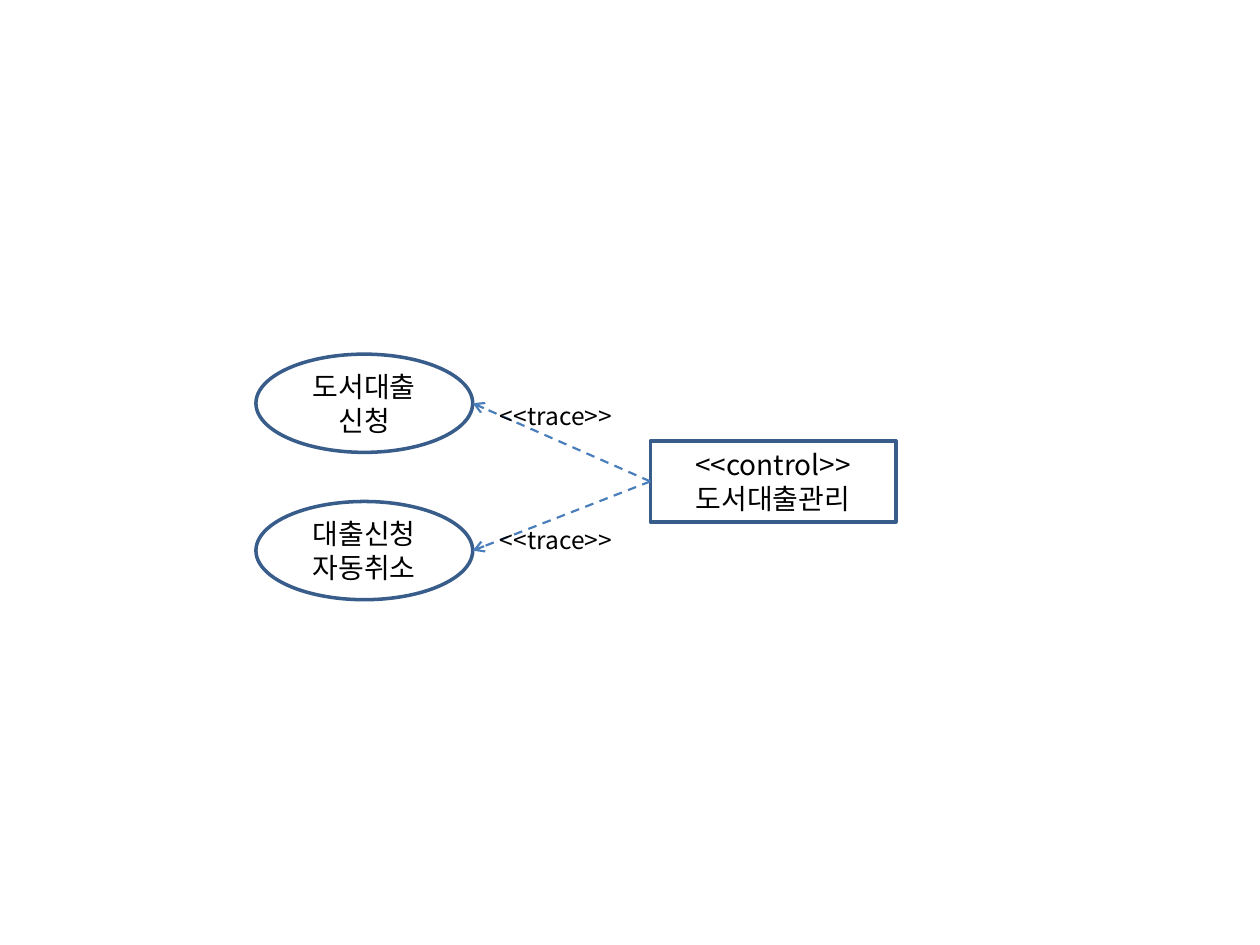
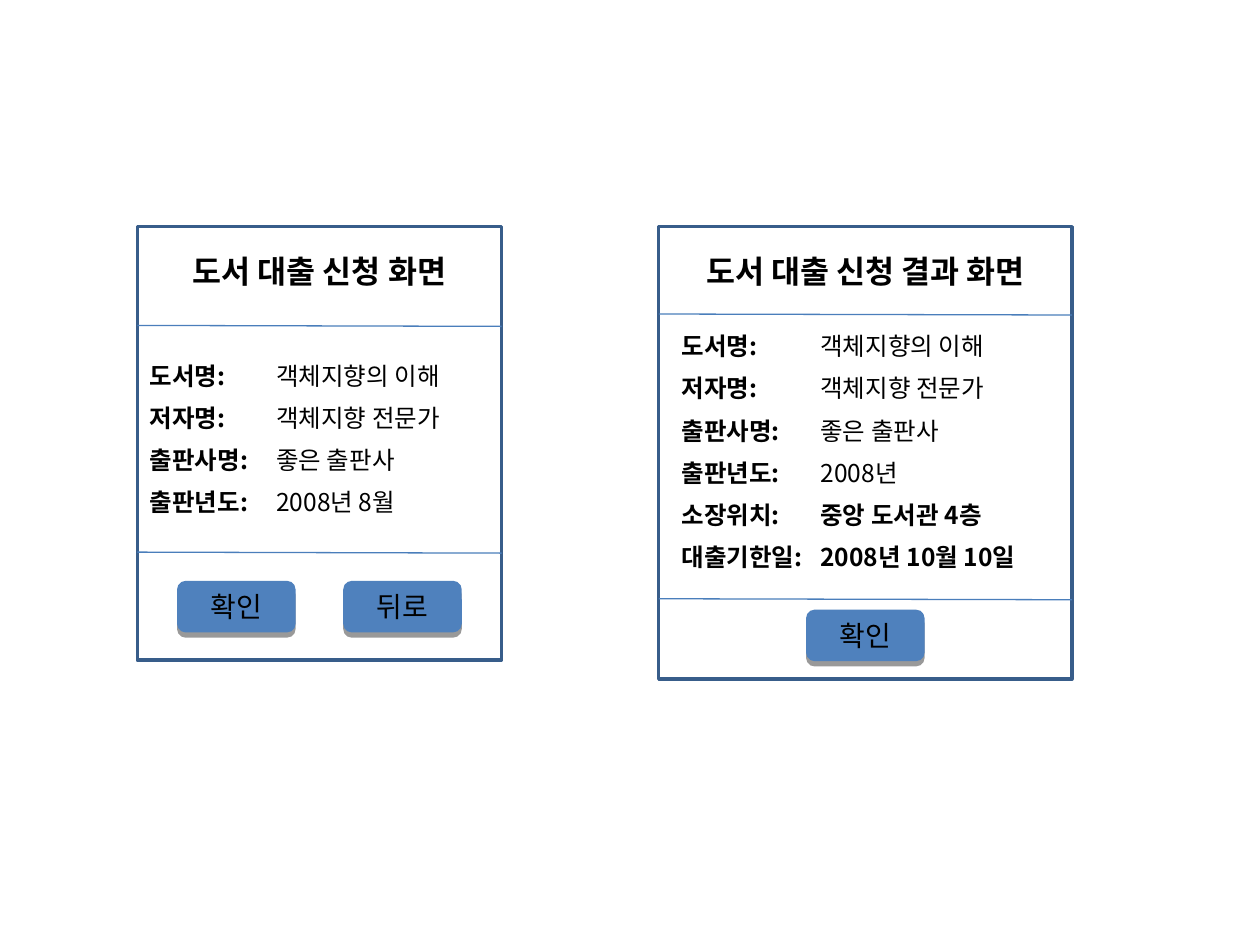
from dataclasses import dataclass

from lxml.etree import SubElement
from pptx import Presentation
from pptx.dml.color import RGBColor
from pptx.enum.dml import MSO_LINE_DASH_STYLE as Dash
from pptx.enum.shapes import MSO_CONNECTOR as Connector, MSO_SHAPE as ShapeKind
from pptx.enum.text import MSO_ANCHOR as Anchor, PP_ALIGN as Align
from pptx.oxml.ns import qn
from pptx.util import Cm, Pt

FONT = "Noto Sans CJK KR"
BLACK, OUTLINE, LINE, BUTTON = "000000", "385D8A", "4A7EBB", "4F81BD"
INSET_X, INSET_Y = 0.25, 0.13
FIELD_PITCH = 0.85
BUTTON_WIDTH, BUTTON_HEIGHT, BUTTON_GAP = 2.39, 1.04, 0.96


# All lengths in these records are centimetres.
@dataclass(frozen=True)
class Box:
    left: float
    top: float
    width: float
    height: float

    @property
    def right(self) -> float:
        return self.left + self.width

    @property
    def middle(self) -> float:
        return self.top + self.height / 2

    def lengths(self) -> list:
        return [Cm(n) for n in (self.left, self.top, self.width, self.height)]


@dataclass(frozen=True)
class UseCase:
    text: str
    box: Box
    trace_top: float


@dataclass(frozen=True)
class Field:
    label: str
    value: str
    bold_value: bool = False


@dataclass(frozen=True)
class Screen:
    title: str
    box: Box
    fields_left: float
    fields_top: float
    value_tab: float
    dividers: tuple[float, float]
    buttons_top: float
    buttons: tuple[str, ...]
    fields: tuple[Field, ...]


CONTROL = Box(13.11, 8.89, 4.95, 1.63)
USE_CASES = (
    UseCase("도서대출신청", Box(5.16, 7.14, 4.37, 1.98), 7.95),
    UseCase("대출신청자동취소", Box(5.16, 10.11, 4.37, 1.98), 10.46),
)
BOOK = (
    Field("도서명:", "객체지향의 이해"),
    Field("저자명:", "객체지향 전문가"),
    Field("출판사명:", "좋은 출판사"),
)
SCREENS = (
    Screen("도서 대출 신청 화면", Box(2.77, 4.57, 7.34, 8.74),
           2.77, 7.14, 2.55, (6.56, 11.13), 11.71, ("확인", "뒤로"),
           (*BOOK, Field("출판년도:", "2008년 8월"))),
    Screen("도서 대출 신청 결과 화면", Box(13.28, 4.57, 8.33, 9.12),
           13.49, 6.55, 2.8, (6.33, 12.07), 12.29, ("확인",),
           (*BOOK, Field("출판년도:", "2008년"),
            Field("소장위치:", "중앙 도서관 4층", True),
            Field("대출기한일:", "2008년 10월 10일", True))),
)


def colour(value: str) -> RGBColor:
    return RGBColor.from_string(value)


def write(paragraph, text: str, *, size: float = 16, bold: bool = False,
          align: Align = Align.LEFT) -> None:
    paragraph.alignment = align
    run = paragraph.add_run()
    run.text = text
    run.font.size, run.font.bold, run.font.name = Pt(size), bold, FONT
    run.font.color.rgb = colour(BLACK)
    SubElement(run.font._element, qn("a:ea"), typeface=FONT)


def set_frame(shape, *, wrap: bool = True, anchor: Anchor = Anchor.TOP,
              inset_x: float = INSET_X, inset_top: float = INSET_Y):
    frame = shape.text_frame
    frame.word_wrap, frame.vertical_anchor = wrap, anchor
    frame.margin_left = frame.margin_right = Cm(inset_x)
    frame.margin_top, frame.margin_bottom = Cm(inset_top), Cm(INSET_Y)
    return frame


def add_text_box(slide, box: Box, *, wrap: bool = True):
    return set_frame(slide.shapes.add_textbox(*box.lengths()), wrap=wrap).paragraphs[0]


def add_outlined(slide, kind: ShapeKind, box: Box):
    shape = slide.shapes.add_shape(kind, *box.lengths())
    shape.shadow.inherit = False
    shape.fill.background()
    shape.line.color.rgb = colour(OUTLINE)
    shape.line.width = Pt(2)
    return shape


def add_line(slide, start: tuple[float, float], end: tuple[float, float], *,
             width: float = 0.75, arrow: bool = False) -> None:
    line = slide.shapes.add_connector(
        Connector.STRAIGHT, *(Cm(n) for n in (*start, *end)))
    line.line.color.rgb = colour(LINE)
    line.line.width = Pt(width)
    if arrow:
        line.line.dash_style = Dash.DASH
        SubElement(line.line._get_or_add_ln(), qn("a:tailEnd"), type="arrow")
    SubElement(line._element.spPr, qn("a:effectLst"))


def add_button(slide, text: str, box: Box) -> None:
    button = slide.shapes.add_shape(ShapeKind.ROUNDED_RECTANGLE, *box.lengths())
    button.fill.solid()
    button.fill.fore_color.rgb = colour(BUTTON)
    button.line.fill.background()
    # Hard shadow just below the button
    button.shadow.inherit = False
    effects = button._element.spPr.find(qn("a:effectLst"))
    shadow = SubElement(effects, qn("a:outerShdw"), blurRad="0", dist=str(Pt(3)),
                        dir="5400000", rotWithShape="0")
    shade = SubElement(shadow, qn("a:srgbClr"), val=BLACK)
    SubElement(shade, qn("a:alpha"), val="40000")
    write(set_frame(button).paragraphs[0], text, align=Align.CENTER)


def add_field(slide, field: Field, box: Box, value_tab: float) -> None:
    paragraph = add_text_box(slide, box)
    write(paragraph, field.label + "\t", size=14, bold=True)
    write(paragraph, field.value, size=14, bold=field.bold_value)
    tabs = SubElement(paragraph._p.get_or_add_pPr(), qn("a:tabLst"))
    SubElement(tabs, qn("a:tab"), pos=str(Cm(value_tab)), algn="l")


def add_screen(slide, screen: Screen) -> None:
    box = screen.box
    panel = set_frame(add_outlined(slide, ShapeKind.RECTANGLE, box), inset_top=0.51)
    write(panel.paragraphs[0], screen.title, size=18, bold=True, align=Align.CENTER)

    # Fields, one below the other
    for row, field in enumerate(screen.fields):
        place = Box(screen.fields_left, screen.fields_top + row * FIELD_PITCH,
                    box.right - screen.fields_left, 0.86)
        add_field(slide, field, place, screen.value_tab)

    # Buttons, centred as a row
    step = BUTTON_WIDTH + BUTTON_GAP
    row_width = len(screen.buttons) * step - BUTTON_GAP
    first_left = box.left + (box.width - row_width) / 2
    for column, text in enumerate(screen.buttons):
        add_button(slide, text, Box(first_left + column * step, screen.buttons_top,
                                    BUTTON_WIDTH, BUTTON_HEIGHT))

    for top in screen.dividers:
        add_line(slide, (box.left, top), (box.right, top + 0.02))


def build_trace_slide(slide) -> None:
    # Use cases and the control class
    for case in USE_CASES:
        ellipse = add_outlined(slide, ShapeKind.OVAL, case.box)
        frame = set_frame(ellipse, anchor=Anchor.MIDDLE, inset_x=0.3)
        write(frame.paragraphs[0], case.text, align=Align.CENTER)
    control = set_frame(add_outlined(slide, ShapeKind.RECTANGLE, CONTROL),
                        anchor=Anchor.MIDDLE)
    write(control.paragraphs[0], "<<control>>", align=Align.CENTER)
    write(control.add_paragraph(), "도서대출관리", align=Align.CENTER)

    # Trace arrows and their labels
    for case in USE_CASES:
        add_line(slide, (CONTROL.left, CONTROL.middle),
                 (case.box.right, case.box.middle), width=1.25, arrow=True)
    for case in USE_CASES:
        label = add_text_box(slide, Box(9.83, case.trace_top, 2.82, 0.86), wrap=False)
        write(label, "<<trace>>", size=14)


def build_screen_slide(slide) -> None:
    for screen in SCREENS:
        add_screen(slide, screen)


def main() -> None:
    presentation = Presentation()
    presentation.slide_width, presentation.slide_height = Cm(25.4), Cm(19.05)
    blank = presentation.slide_layouts[6]
    for build in (build_trace_slide, build_screen_slide):
        build(presentation.slides.add_slide(blank))
    presentation.save("out.pptx")


if __name__ == "__main__":
    main()
